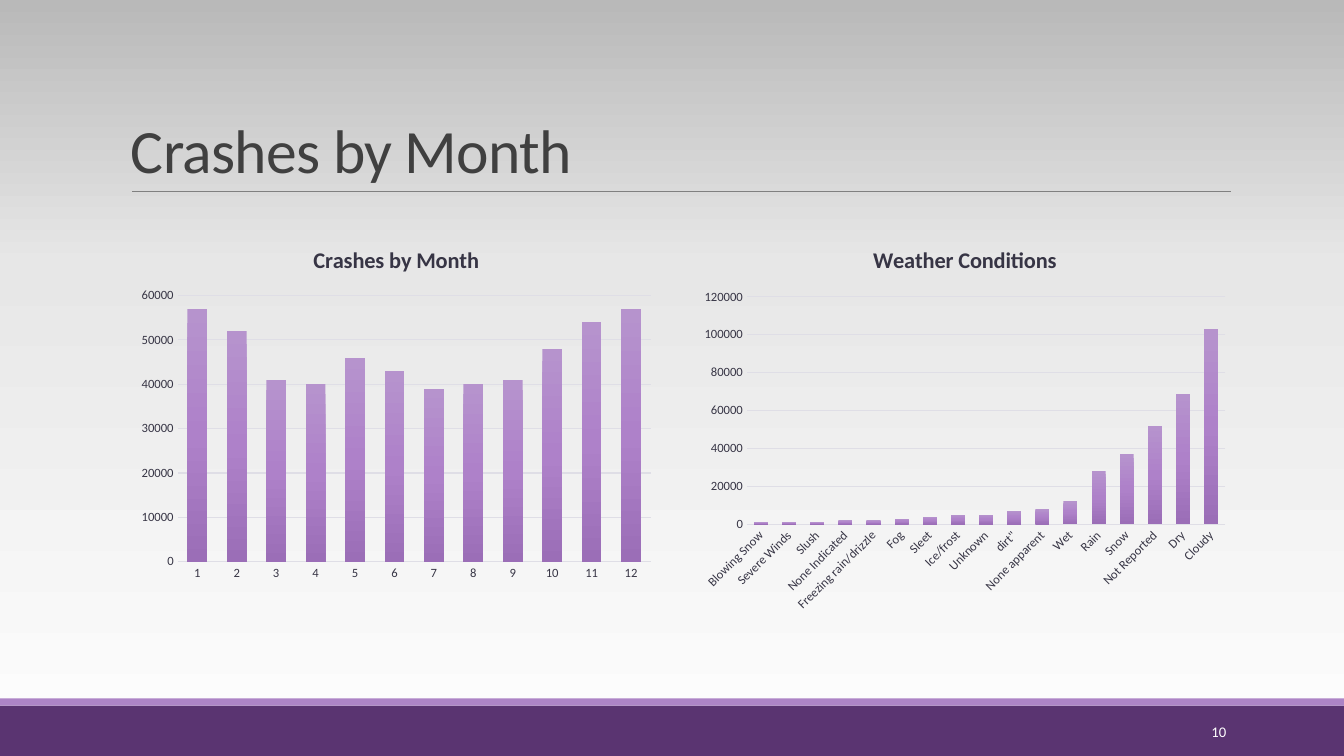
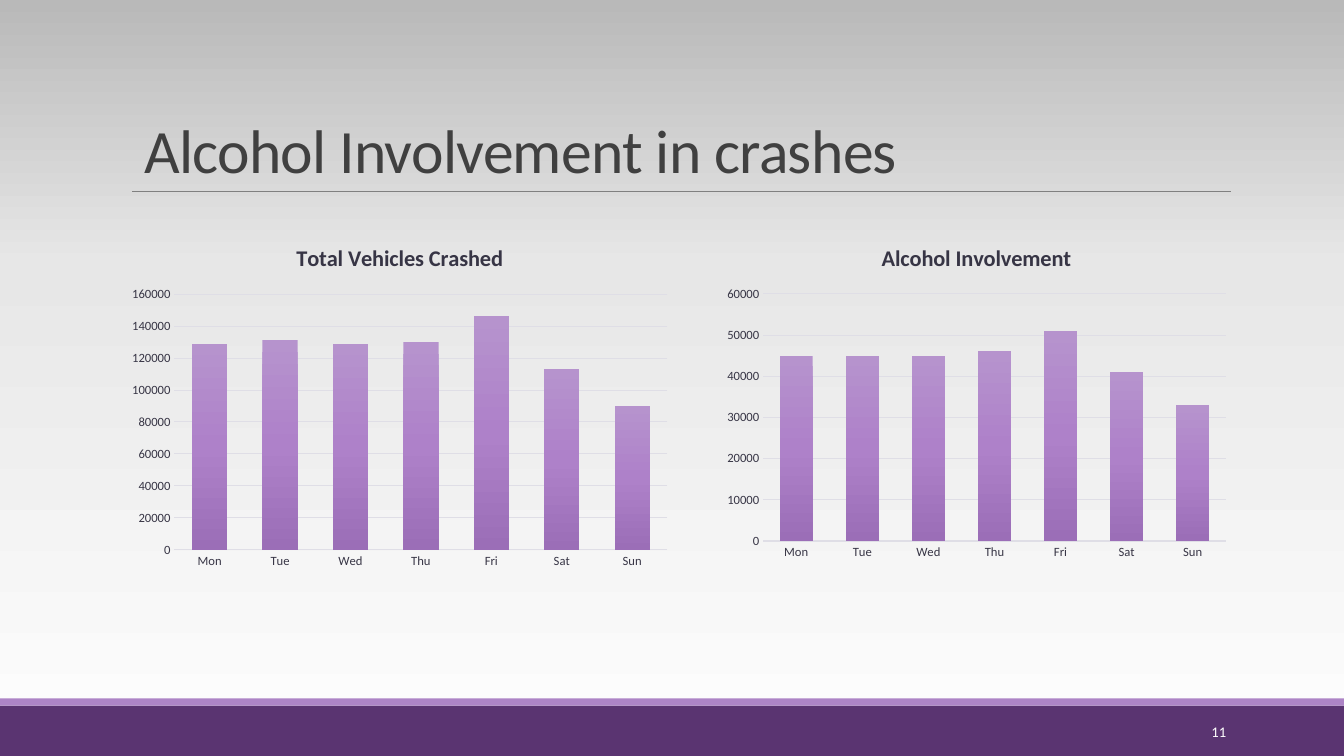
from lxml import etree
from pptx import Presentation
from pptx.chart import data as cd
from pptx.dml.color import RGBColor
from pptx.enum import chart as ch, shapes as sh, text as tx
from pptx.oxml import ns
from pptx.util import Inches, Pt

FONT = "Calibri"
PLUM = RGBColor(0x5A, 0x34, 0x71)
LILAC = RGBColor(0xAD, 0x84, 0xC6)
GRAY = RGBColor(0x80, 0x80, 0x80)
DARK = RGBColor(0x40, 0x40, 0x40)
INK = RGBColor(0x37, 0x35, 0x45)
MIST = RGBColor(0xDF, 0xDE, 0xE6)
WHITE = RGBColor(0xFF, 0xFF, 0xFF)
BACK = [(0, RGBColor(0xFE, 0xFE, 0xFE)), (65, RGBColor(0xE7, 0xE7, 0xE7)),
        (100, RGBColor(0xB9, 0xB9, 0xB9))]
BAR = [(0, RGBColor(0xB6, 0x93, 0xCD)), (50, RGBColor(0xAE, 0x81, 0xC9)),
       (100, RGBColor(0x9B, 0x6E, 0xB7))]

DAYS = ["Mon", "Tue", "Wed", "Thu", "Fri", "Sat", "Sun"]
WEATHER = {
    "Blowing Snow": 1000, "Severe Winds": 1000, "Slush": 1000,
    "None Indicated": 2000, "Freezing rain/drizzle": 2000, "Fog": 3000,
    "Sleet": 4000, "Ice/frost": 5000, "Unknown": 5000, 'dirt"': 7000,
    "None apparent": 8000, "Wet": 12000, "Rain": 28000, "Snow": 37000,
    "Not Reported": 52000, "Dry": 69000, "Cloudy": 103000,
}
MONTHS = [57000, 52000, 41000, 40000, 46000, 43000,
          39000, 40000, 41000, 48000, 54000, 57000]


def blend(fill, root, stops, angle):
    """Fill with a linear gradient; the angle runs clockwise."""
    fill.gradient()
    grad = root.find(".//" + ns.qn("a:gradFill"))
    for part in list(grad):
        grad.remove(part)
    row = etree.SubElement(grad, ns.qn("a:gsLst"))
    for pos, color in stops:
        stop = etree.SubElement(row, ns.qn("a:gs"), pos=str(pos * 1000))
        etree.SubElement(stop, ns.qn("a:srgbClr"), val=str(color))
    etree.SubElement(grad, ns.qn("a:lin"), ang=str(angle * 60000), scaled="0")


def style(font, size, color, bold=False):
    font.name, font.size, font.bold = FONT, Pt(size), bold
    font.color.rgb = color


def band(slide, top, high, color):
    bar = slide.shapes.add_shape(sh.MSO_SHAPE.RECTANGLE, 0, Inches(top),
                                 Inches(13.33), Inches(high))
    bar.shadow.inherit = False
    bar.fill.solid()
    bar.fill.fore_color.rgb = color
    bar.line.fill.background()


def label(slide, box, words, size, color, anchor):
    frame = slide.shapes.add_textbox(*map(Inches, box)).text_frame
    frame.word_wrap = True
    frame.vertical_anchor = anchor
    para = frame.paragraphs[0]
    para.text = words
    style(para.font, size, color)
    return frame, para


def base(deck, title, number, inset=0.1):
    """Add a slide with its bands, rule, title and number."""
    slide = deck.slides.add_slide(deck.slide_layouts[6])
    band(slide, 7, 0.5, PLUM)
    band(slide, 6.93, 0.07, LILAC)
    rule = slide.shapes.add_connector(
        sh.MSO_CONNECTOR.STRAIGHT, Inches(1.31), Inches(1.9),
        Inches(12.21), Inches(1.9))
    rule.line.color.rgb = GRAY
    rule.line.width = Pt(0.5)
    etree.SubElement(rule._element.spPr, ns.qn("a:effectLst"))

    frame, para = label(slide, (1.2, 0.31, 11, 1.59), title, 44, DARK,
                        tx.MSO_ANCHOR.BOTTOM)
    frame.margin_left = Inches(inset)
    para.line_spacing = 0.85
    para.runs[0].font._element.set("spc", "-50")

    para = label(slide, (10.83, 7.06, 1.43, 0.4), str(number), 10.5, WHITE,
                 tx.MSO_ANCHOR.MIDDLE)[1]
    para.alignment = tx.PP_ALIGN.RIGHT
    return slide


def columns(slide, box, title, cats, vals, top, step, slant=0):
    """Place a column chart in the box."""
    data = cd.CategoryChartData()
    data.categories = cats
    data.add_series(title, vals)
    chart = slide.shapes.add_chart(ch.XL_CHART_TYPE.COLUMN_CLUSTERED,
                                   *map(Inches, box), data).chart
    style(chart.font, 10, INK)
    chart.has_legend = False
    chart.has_title = True
    head = chart.chart_title.text_frame
    head.text = title
    style(head.paragraphs[0].font, 16, INK, True)

    # Bars
    plot = chart.plots[0]
    plot.gap_width, plot.overlap = 100, -24
    plot.vary_by_categories = False
    bars = plot.series[0]
    blend(bars.format.fill, bars._element, BAR, 90)

    # Axes
    for axis in (chart.category_axis, chart.value_axis):
        axis.major_tick_mark = axis.minor_tick_mark = ch.XL_TICK_MARK.NONE
        style(axis.tick_labels.font, 9, INK)
    base_line = chart.category_axis.format.line
    grid = chart.value_axis.major_gridlines.format.line
    for line in (base_line, grid):
        line.color.rgb = MIST
        line.width = Pt(0.75)
    chart.value_axis.format.line.fill.background()
    chart.value_axis.minimum_scale = 0
    chart.value_axis.maximum_scale = top
    chart.value_axis.major_unit = step
    if slant:
        body = chart.category_axis._element.find(
            ns.qn("c:txPr") + "/" + ns.qn("a:bodyPr"))
        body.set("rot", str(slant * 60000))


def main():
    deck = Presentation()
    deck.slide_width, deck.slide_height = Inches(13.33), Inches(7.5)
    master = deck.slide_master
    blend(master.background.fill, master._element, BACK, 270)

    slide = base(deck, "Crashes by Month", 10)
    columns(slide, (1.3, 2.26, 5.26, 3.57), "Crashes by Month",
            [str(n) for n in range(1, 13)], MONTHS, 60000, 10000)
    columns(slide, (6.88, 2.26, 5.38, 3.89), "Weather Conditions",
            list(WEATHER), list(WEATHER.values()), 120000, 20000, -45)

    slide = base(deck, "Alcohol Involvement in crashes", 11, 0.23)
    columns(slide, (1.2, 2.25, 5.53, 3.46), "Total Vehicles Crashed", DAYS,
            [129000, 131000, 129000, 130000, 146000, 113000, 90000],
            160000, 20000)
    columns(slide, (7.11, 2.25, 5.15, 3.37), "Alcohol Involvement", DAYS,
            [45000, 45000, 45000, 46000, 51000, 41000, 33000],
            60000, 10000)
    deck.save("out.pptx")


if __name__ == "__main__":
    main()
